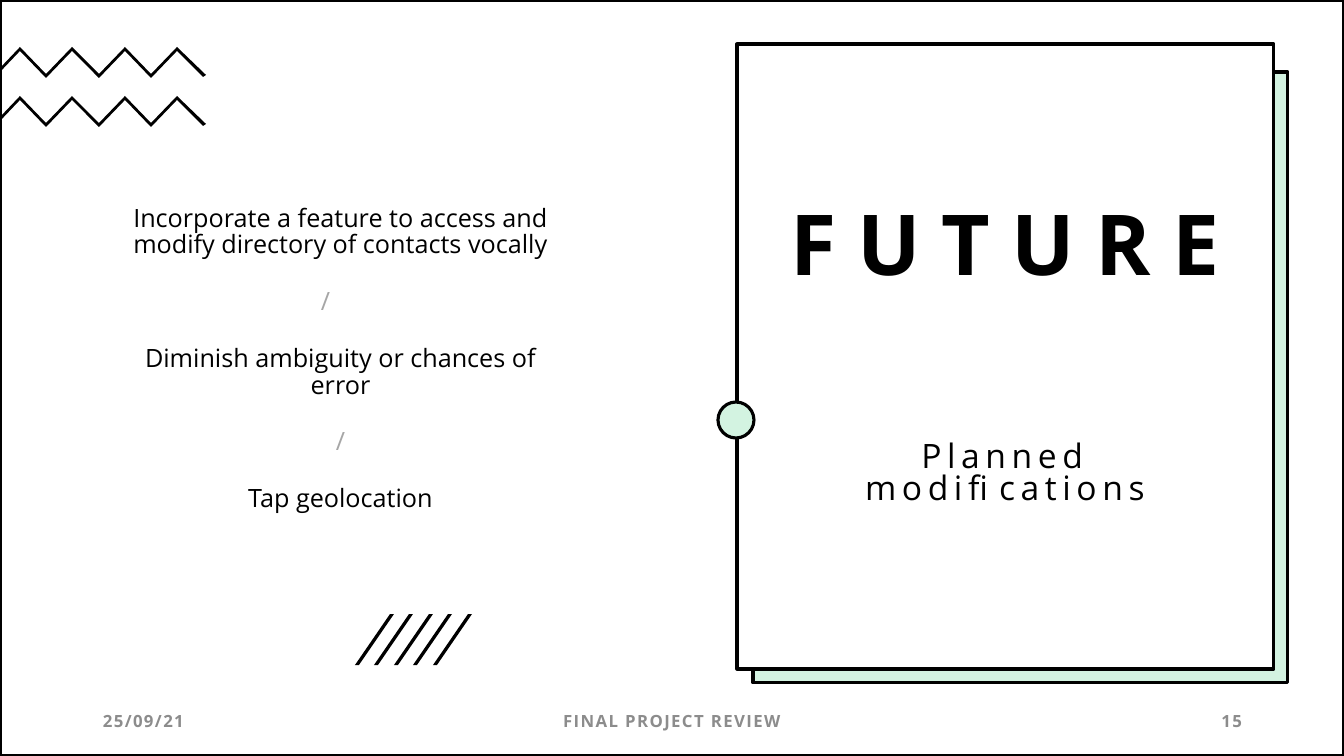
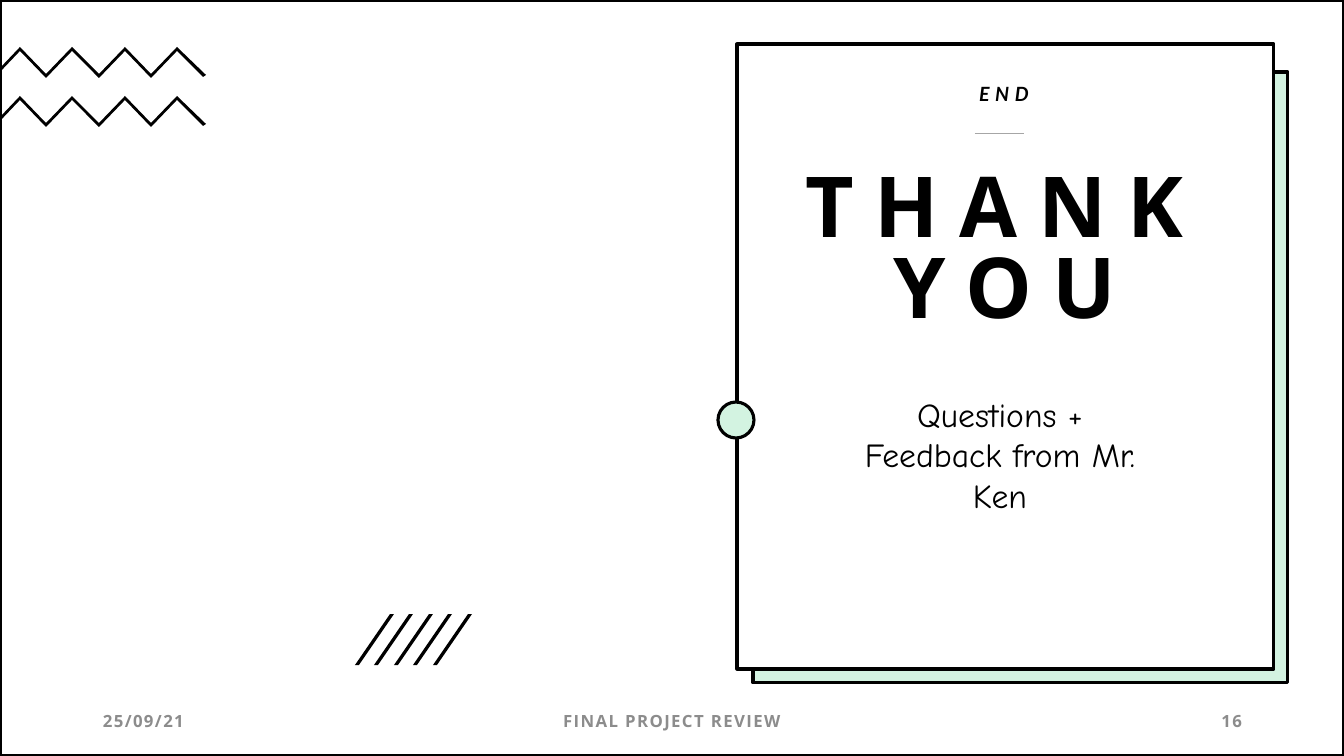
from dataclasses import dataclass
from typing import Optional

from lxml import etree
from pptx import Presentation
from pptx import util as u
from pptx.dml.color import RGBColor
from pptx.enum import shapes, text
from pptx.oxml import ns

SCALE = 914400 / 100.8  # EMU per pixel
WIDTH, HEIGHT = 1344, 756
COLORS = {"ink": "000000", "paper": "FFFFFF", "mint": "D3F3E1",
          "footer": "8C8C8C", "divider": "A6A6A6"}
LEFT, CENTER, RIGHT = text.PP_ALIGN.LEFT, text.PP_ALIGN.CENTER, text.PP_ALIGN.RIGHT
TOP, MIDDLE = text.MSO_ANCHOR.TOP, text.MSO_ANCHOR.MIDDLE


@dataclass(frozen=True)
class Box:
    left: int
    top: int
    width: int
    height: int


@dataclass(frozen=True)
class Style:
    size: int
    font: str = "Open Sans"
    color: str = "ink"
    bold: bool = False
    italic: bool = False
    tracking: int = 0
    align: text.PP_ALIGN = CENTER
    anchor: text.MSO_ANCHOR = MIDDLE
    spacing: float = 1.0


@dataclass(frozen=True)
class Line:
    words: str
    color: str = "ink"
    tabs: tuple[int, ...] = ()


@dataclass(frozen=True)
class Panel:
    kind: shapes.MSO_SHAPE
    box: Box
    fill: Optional[str]


@dataclass(frozen=True)
class Label:
    box: Box
    words: str
    style: Style


@dataclass(frozen=True)
class Page:
    title: str
    title_spacing: float
    title_inset: int
    number: str
    labels: tuple[Label, ...]


def px(length: float) -> u.Emu:
    return u.Emu(round(length * SCALE))


def rgb(name: str) -> RGBColor:
    return RGBColor.from_string(COLORS[name])


def place(box: Box) -> tuple[u.Emu, ...]:
    return px(box.left), px(box.top), px(box.width), px(box.height)


def add_text(slide, box: Box, lines: list[Line], style: Style,
             gap: float = 0, inset_top: int = 5) -> None:
    frame = slide.shapes.add_textbox(*place(box)).text_frame
    frame.word_wrap = True
    frame.vertical_anchor = style.anchor
    frame.margin_top = px(inset_top)
    for index, line in enumerate(lines):
        paragraph = frame.add_paragraph() if index else frame.paragraphs[0]
        paragraph.alignment = style.align
        paragraph.line_spacing = style.spacing
        if index:
            paragraph.space_before = u.Pt(gap)
        if line.tabs:
            stops = etree.SubElement(paragraph._p.get_or_add_pPr(), ns.qn("a:tabLst"))
            for stop in line.tabs:
                etree.SubElement(stops, ns.qn("a:tab"), pos=str(px(stop)), algn="l")
        run = paragraph.add_run()
        run.text = line.words
        run.font.name = style.font
        run.font.size = u.Pt(style.size)
        run.font.bold = style.bold
        run.font.italic = style.italic
        run.font.color.rgb = rgb(line.color)
        if style.tracking:
            run._r.get_or_add_rPr().set("spc", str(style.tracking * 100))


def add_label(slide, label: Label) -> None:
    add_text(slide, label.box, [Line(label.words, label.style.color)], label.style)


def add_panel(slide, panel: Panel) -> None:
    shape = slide.shapes.add_shape(panel.kind, *place(panel.box))
    shape.shadow.inherit = False
    if panel.fill:
        shape.fill.solid()
        shape.fill.fore_color.rgb = rgb(panel.fill)
    else:
        shape.fill.background()
    shape.line.color.rgb = rgb("ink")
    shape.line.width = u.Pt(2.25)


def add_outline(slide, points: list[tuple[float, float]]) -> None:
    builder = slide.shapes.build_freeform(*points[0], scale=SCALE)
    builder.add_line_segments(points[1:], close=True)
    shape = builder.convert_to_shape()
    shape.shadow.inherit = False
    shape.fill.solid()
    shape.fill.fore_color.rgb = rgb("ink")
    shape.line.fill.background()


def add_zigzag(slide, top: int) -> None:
    ridge = [(20 + 26.2 * i, top + 27 * (i % 2)) for i in range(7)]
    underside = [(x, y + 4) for x, y in reversed(ridge)]
    add_outline(slide, [*ridge, (206, top + 28), (203, top + 30),
                        *underside, (0, top + 25), (0, top + 21)])


def add_hatching(slide) -> None:
    for i in range(5):
        x = 355 + 19.4 * i
        add_outline(slide, [(x + 4, 665), (x, 665), (x + 35, 614), (x + 39, 614)])


def add_divider(slide, left: int, right: int, y: int) -> None:
    rule = slide.shapes.add_connector(shapes.MSO_CONNECTOR.STRAIGHT,
                                      px(left), px(y), px(right), px(y))
    rule.line.color.rgb = rgb("divider")
    rule.line.width = u.Pt(0.5)
    etree.SubElement(rule._element.spPr, ns.qn("a:effectLst"))


# Shared look
PANELS = (
    Panel(shapes.MSO_SHAPE.RECTANGLE, Box(753, 72, 535, 611), "mint"),
    Panel(shapes.MSO_SHAPE.RECTANGLE, Box(737, 44, 537, 625), "paper"),
    Panel(shapes.MSO_SHAPE.OVAL, Box(718, 402, 36, 36), "mint"),
    Panel(shapes.MSO_SHAPE.RECTANGLE, Box(0, 0, WIDTH, HEIGHT), None),
)
TITLE_BOX = Box(773, 87, 464, 322)


def footer_style(align: text.PP_ALIGN) -> Style:
    return Style(12, color="footer", bold=True, tracking=1, align=align)


def add_page(deck, page: Page):
    slide = deck.slides.add_slide(deck.slide_layouts[6])
    for panel in PANELS:
        add_panel(slide, panel)
    add_hatching(slide)
    for top in (47, 96):
        add_zigzag(slide, top)
    title_style = Style(60, bold=True, tracking=15, spacing=page.title_spacing)
    add_text(slide, TITLE_BOX, [Line(page.title)], title_style,
             inset_top=page.title_inset)
    footers = (
        Label(Box(93, 701, 302, 40), "25/09/21", footer_style(LEFT)),
        Label(Box(445, 701, 454, 40), "FINAL PROJECT REVIEW", footer_style(CENTER)),
        Label(Box(950, 701, 302, 40), page.number, footer_style(RIGHT)),
    )
    for label in (*page.labels, *footers):
        add_label(slide, label)
    return slide


deck = Presentation()
deck.slide_width, deck.slide_height = px(WIDTH), px(HEIGHT)

# Planned modifications
future = add_page(deck, Page("FUTURE", 0.9, 5, "15", (
    Label(Box(773, 437, 464, 181), "Planned modifications",
          Style(24, tracking=4, anchor=TOP, spacing=0.81)),
)))
modifications = [
    Line("Incorporate a feature to access and modify directory of contacts vocally"),
    Line("\t/\t", "divider", (101, 241)),
    Line("Diminish ambiguity or chances of error"),
    Line("/", "divider"),
    Line("Tap geolocation"),
]
add_text(future, Box(110, 205, 461, 309), modifications,
         Style(18, spacing=0.88), gap=21.6)

# Closing
closing = add_page(deck, Page("THANK YOU", 0.8, 17, "16", (
    Label(Box(797, 80, 414, 145), "END",
          Style(14, "Lato", bold=True, italic=True, tracking=4, anchor=TOP, spacing=0.9)),
    Label(Box(838, 393, 324, 123), "Questions + Feedback from Mr. Ken",
          Style(24, "Comic Neue")),
)))
add_divider(closing, 975, 1024, 133)

deck.save("out.pptx")
